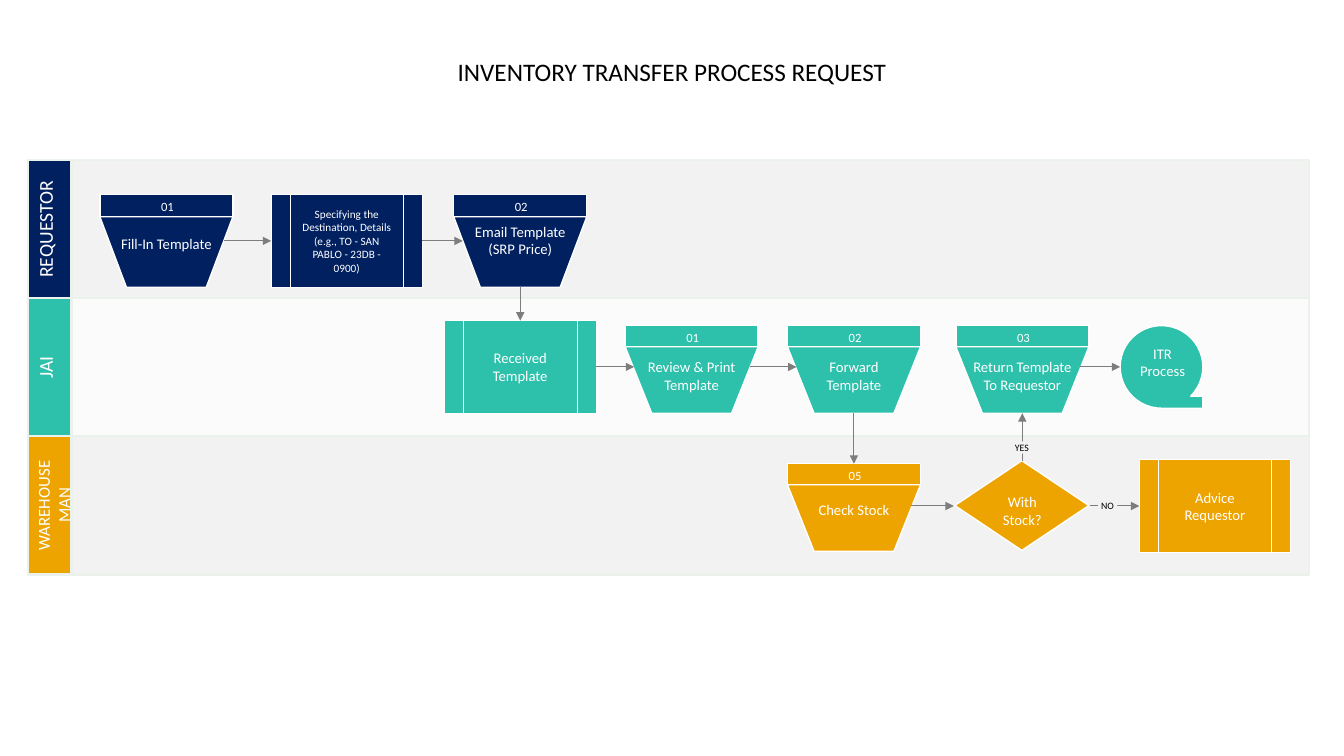
from lxml.etree import SubElement
from pptx import Presentation
from pptx.dml.color import RGBColor
from pptx.enum.shapes import MSO_CONNECTOR, MSO_SHAPE
from pptx.enum.text import MSO_ANCHOR, MSO_AUTO_SIZE, PP_ALIGN
from pptx.oxml.ns import qn
from pptx.util import Inches, Pt

NAVY = RGBColor(0x00, 0x20, 0x60)
TEAL = RGBColor(0x2D, 0xC0, 0xAB)
AMBER = RGBColor(0xEE, 0xA4, 0x00)
GREY = RGBColor(0xF2, 0xF2, 0xF2)
PALE = RGBColor(0xFB, 0xFB, 0xFB)
EDGE = RGBColor(0xEB, 0xF2, 0xEC)
ARROW = RGBColor(0x7E, 0x7D, 0x7E)
WHITE = RGBColor(0xFF, 0xFF, 0xFF)
BLACK = RGBColor(0x00, 0x00, 0x00)

FONT = "Calibri"
LANE_LEFT, LANES_TOP, LANE_WIDTH, LANE_HEIGHT = 0.28, 1.59, 12.7, 1.37
STEP_WIDTH, PROCESS_WIDTH, PROCESS_HEIGHT = 1.32, 1.5, 0.92


def write(frame, lines, size, color=WHITE, anchor=MSO_ANCHOR.TOP):
    """Fill a text frame with centred lines, one paragraph each."""
    frame.word_wrap = True
    frame.auto_size = MSO_AUTO_SIZE.NONE
    frame.vertical_anchor = anchor
    for index, line in enumerate(lines):
        paragraph = frame.add_paragraph() if index else frame.paragraphs[0]
        paragraph.alignment = PP_ALIGN.CENTER
        run = paragraph.add_run()
        run.text = line
        run.font.name = FONT
        run.font.size = Pt(size)
        run.font.color.rgb = color


def draw_block(slide, kind, box, fill, edge=WHITE, weight=1):
    """Draw a preset shape in a box, without outline if edge is None."""
    block = slide.shapes.add_shape(kind, *map(Inches, box))
    block.shadow.inherit = False
    block.fill.solid()
    block.fill.fore_color.rgb = fill
    if edge is None:
        block.line.fill.background()
    else:
        block.line.color.rgb = edge
        block.line.width = Pt(weight)
    return block


def draw_caption(slide, box, lines, size=10.5):
    """Place white text in a box."""
    caption = slide.shapes.add_textbox(*map(Inches, box))
    write(caption.text_frame, lines, size)


def draw_arrow(slide, start, end):
    """Draw a thin grey arrow between two points."""
    arrow = slide.shapes.add_connector(
        MSO_CONNECTOR.STRAIGHT, *map(Inches, (*start, *end)))
    arrow.line.color.rgb = ARROW
    arrow.line.width = Pt(0.75)
    properties = arrow._element.spPr
    SubElement(properties.find(qn("a:ln")), qn("a:tailEnd"), type="triangle")
    SubElement(properties, qn("a:effectLst"))


def draw_answer(slide, box, word):
    """Draw a small label that interrupts a decision arrow."""
    answer = draw_block(slide, MSO_SHAPE.RECTANGLE, box, GREY, None)
    frame = answer.text_frame
    frame.margin_left = frame.margin_right = 0
    frame.margin_top = frame.margin_bottom = 0
    write(frame, [word], 7, BLACK)


def draw_process(slide, left, top, color, text, size=10.5):
    """Draw a predefined process with its text."""
    process = draw_block(slide, MSO_SHAPE.FLOWCHART_PREDEFINED_PROCESS,
                         (left, top, PROCESS_WIDTH, PROCESS_HEIGHT),
                         color, weight=0.25)
    write(process.text_frame, [text], size, anchor=MSO_ANCHOR.MIDDLE)


def draw_step(slide, left, top, height, color, number, lines, drop):
    """Draw a numbered manual step, its caption lowered by drop."""
    band = round(height * 0.24, 2)
    draw_block(slide, MSO_SHAPE.FLOWCHART_MANUAL_OPERATION,
               (left, top + band, STEP_WIDTH, height - band), color)
    draw_block(slide, MSO_SHAPE.RECTANGLE,
               (left, top, STEP_WIDTH, band), color)
    draw_caption(slide, (left + 0.01, top - 0.01, STEP_WIDTH, 0.3), [number], 9)
    draw_caption(slide, (left, top + drop, STEP_WIDTH, 0.45), lines)


def draw_title(slide, box, text):
    """Place the slide title in a box."""
    title = slide.shapes.title
    title.left, title.top, title.width, title.height = map(Inches, box)
    write(title.text_frame, [text], 18, BLACK)


def draw_lane(slide, box, name, fill, color, size):
    """Draw a swimlane with its upright name tab."""
    left, top, _, height = box
    draw_block(slide, MSO_SHAPE.RECTANGLE, box, fill, EDGE, 1.5)
    tab = draw_block(slide, MSO_SHAPE.RECTANGLE, (left, top, 0.43, height),
                     color, EDGE, 1.5)
    write(tab.text_frame, [name], size)
    tab._element.txBody.bodyPr.set("vert", "vert270")


def draw_requestor(slide, box):
    """Draw the requestor lane and its steps."""
    left, top, _, _ = box
    draw_lane(slide, box, "REQUESTOR", GREY, NAVY, 14)
    row, flow = top + 0.34, top + 0.8
    draw_step(slide, left + 0.71, row, 0.92, NAVY, "01",
              ["Fill-In Template"], 0.35)
    draw_process(slide, left + 2.41, row, NAVY,
                 "Specifying the Destination, Details "
                 "(e.g., TO - SAN PABLO - 23DB - 0900)", 8)
    draw_step(slide, left + 4.22, row, 0.92, NAVY, "02",
              ["Email Template", "(SRP Price)"], 0.23)
    for start, end in ((1.94, 2.41), (3.91, 4.31)):
        draw_arrow(slide, (left + start, flow), (left + end, flow))


def draw_jai(slide, box):
    """Draw the JAI lane, its steps and the arrow that enters from above."""
    left, top, _, _ = box
    draw_lane(slide, box, "JAI", PALE, TEAL, 14)
    row, flow = top + 0.27, top + 0.68
    draw_process(slide, left + 4.13, top + 0.22, TEAL, "Received Template")
    steps = (
        (5.92, "01", ["Review & Print", "Template"]),
        (7.53, "02", ["Forward", "Template"]),
        (9.2, "03", ["Return Template To Requestor"]),
    )
    for offset, number, lines in steps:
        draw_step(slide, left + offset, row, 0.87, TEAL, number, lines, 0.27)
    draw_block(slide, MSO_SHAPE.FLOWCHART_SEQUENTIAL_ACCESS_STORAGE,
               (left + 10.83, row, 0.82, 0.82), TEAL)
    draw_caption(slide, (left + 10.84, row + 0.14, 0.82, 0.45),
                 ["ITR", "Process"])
    for start, end in ((5.63, 6.01), (7.16, 7.62), (10.43, 10.83)):
        draw_arrow(slide, (left + start, flow), (left + end, flow))
    draw_arrow(slide, (left + 4.88, top - 0.11), (left + 4.88, top + 0.22))


def draw_warehouse(slide, box):
    """Draw the warehouse lane, its decision and the arrows to the lane above."""
    left, top, _, _ = box
    draw_lane(slide, box, "WAREHOUSE MAN", GREY, AMBER, 12)
    flow = top + 0.69
    draw_step(slide, left + 7.53, top + 0.27, 0.87, AMBER, "05",
              ["Check Stock"], 0.32)
    draw_block(slide, MSO_SHAPE.FLOWCHART_DECISION,
               (left + 9.19, top + 0.24, 1.33, 0.89), AMBER)
    draw_caption(slide, (left + 9.41, top + 0.51, 0.9, 0.45), ["With Stock?"])
    draw_process(slide, left + 11.02, top + 0.23, AMBER, "Advice Requestor")
    for start, end in ((8.76, 9.18), (10.53, 11.02)):
        draw_arrow(slide, (left + start, flow), (left + end, flow))
    draw_arrow(slide, (left + 8.19, top - 0.23), (left + 8.19, top + 0.27))
    draw_arrow(slide, (left + 9.86, top + 0.24), (left + 9.86, top - 0.23))
    draw_answer(slide, (left + 9.67, top + 0.05, 0.37, 0.12), "YES")
    draw_answer(slide, (left + 10.61, top + 0.63, 0.19, 0.12), "NO")


def main():
    """Build the slide and save it."""
    deck = Presentation()
    deck.slide_width, deck.slide_height = Inches(13.33), Inches(7.5)
    slide = deck.slides.add_slide(deck.slide_layouts[5])
    draw_title(slide, (3.45, 0.51, 6.43, 0.4),
               "INVENTORY TRANSFER PROCESS REQUEST")
    for index, draw in enumerate((draw_requestor, draw_jai, draw_warehouse)):
        draw(slide, (LANE_LEFT, LANES_TOP + index * LANE_HEIGHT,
                     LANE_WIDTH, LANE_HEIGHT))
    deck.save("out.pptx")


if __name__ == "__main__":
    main()
